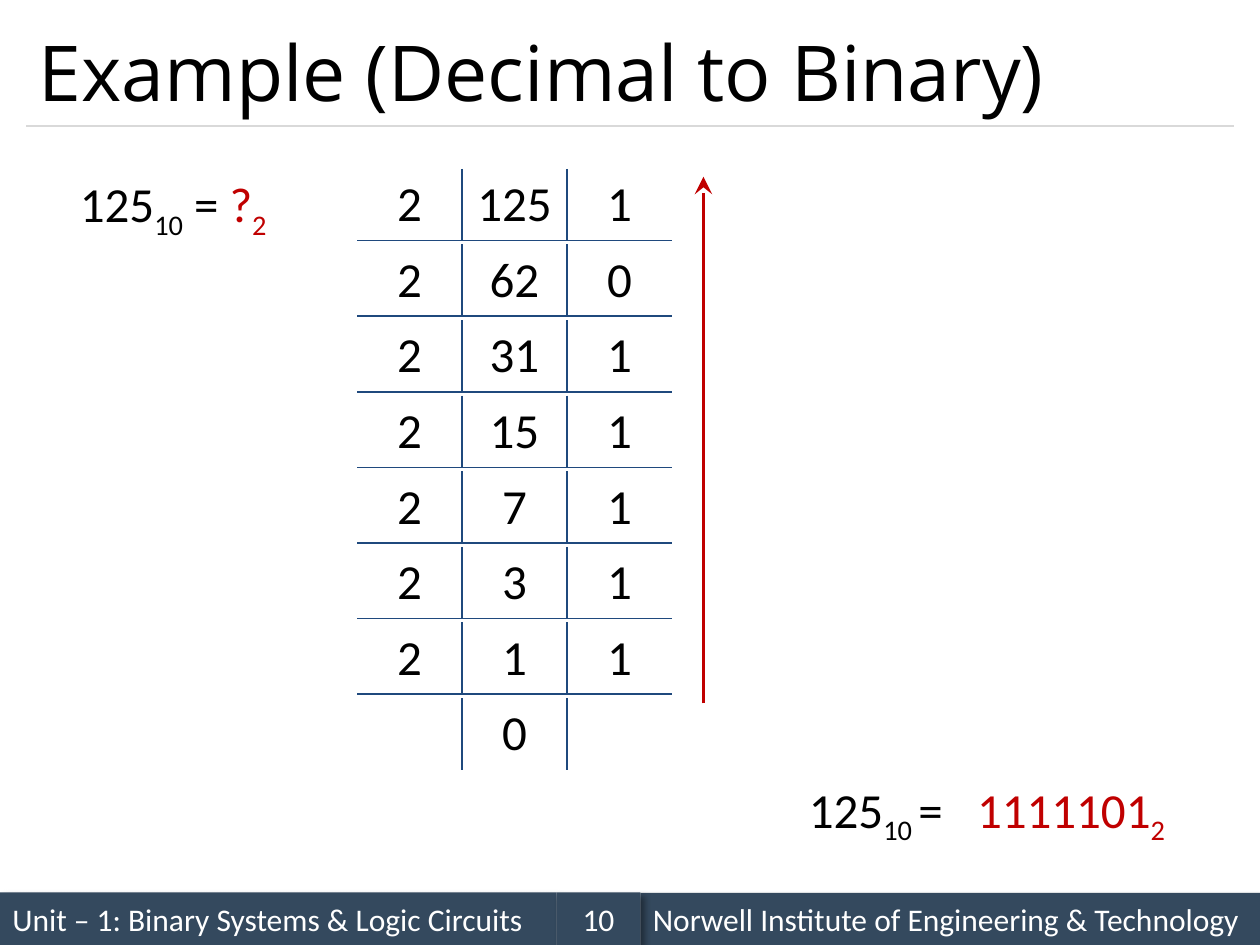
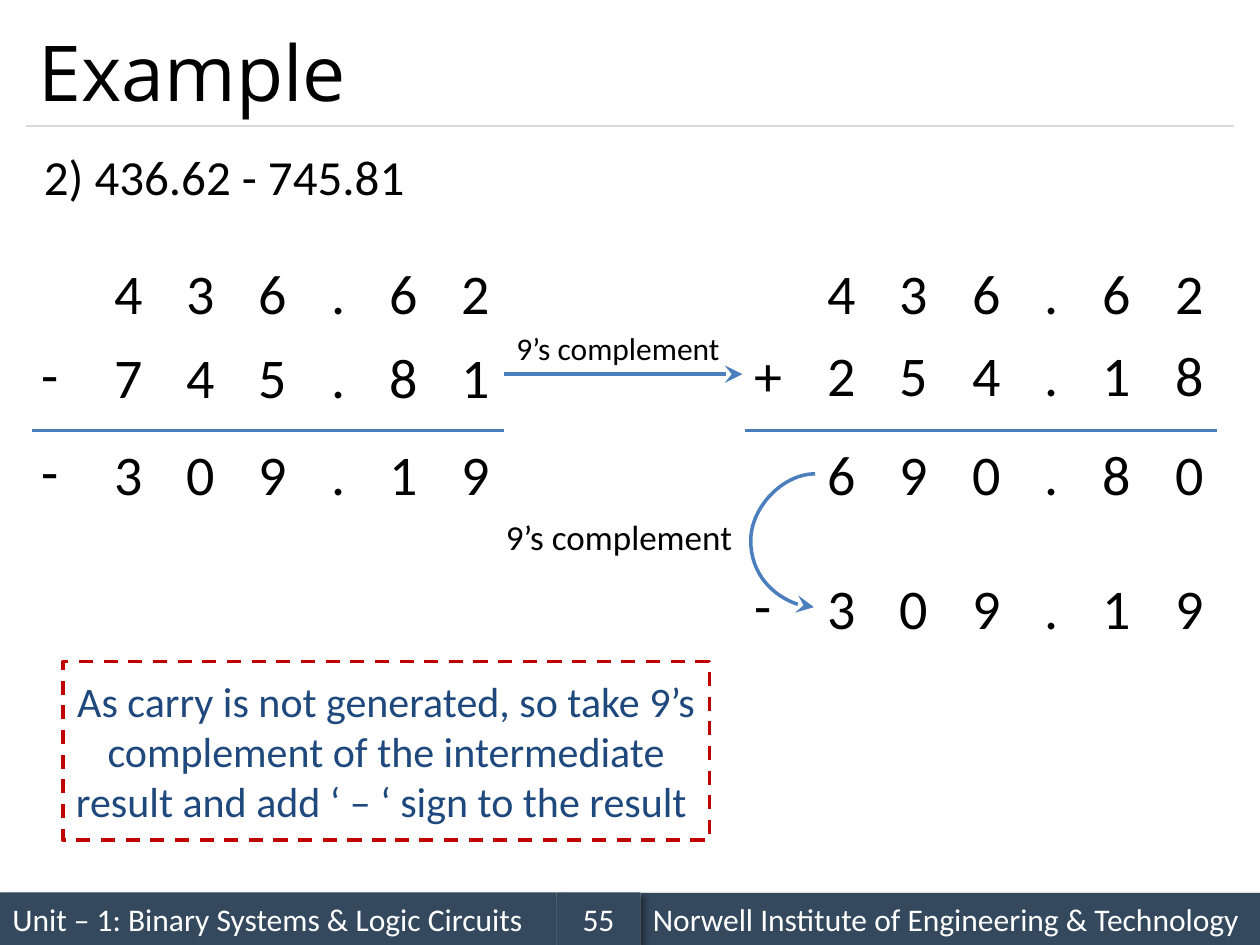
from lxml import etree
from pptx import Presentation
from pptx.dml.color import RGBColor
from pptx.enum.dml import MSO_LINE
from pptx.enum.shapes import MSO_CONNECTOR, MSO_SHAPE
from pptx.enum.text import MSO_ANCHOR, MSO_AUTO_SIZE, PP_ALIGN
from pptx.oxml.ns import qn
from pptx.util import Pt

COLORS = {
    "ink": "000000",
    "paper": "FFFFFF",
    "band": "34495E",
    "rule": "D9D9D9",
    "accent": "C00000",
    "navy": "1F497D",
    "steel": "4B7EBC",
}
UNIT = "Unit – 1: Binary Systems & Logic Circuits"
INSTITUTE = "Norwell Institute of Engineering & Technology"
TITLE_ONLY = 5

DIGIT_STEP, POINT_STEP = 41.4, 33.2
DIGIT_HEIGHT = 46
GLYPH_WIDTHS = {"-": 24.5, ".": 23}
LEFT_SUM, RIGHT_SUM = 16.7, 424.2


def color(name):
    return RGBColor.from_string(COLORS[name])


def apply(target, formats):
    for attribute, value in formats.items():
        setattr(target, attribute, value)


def points(*lengths):
    return [Pt(length) for length in lengths]


def add_xml(parent, tag, **attributes):
    return etree.SubElement(parent, qn(tag), attributes)


class Deck:
    """Holds the shared style and the slide being built."""

    def __init__(self):
        self.presentation = Presentation()
        apply(self.presentation, {"slide_width": Pt(720), "slide_height": Pt(540)})
        self.slide = None

    def start_slide(self, title, number):
        layout = self.presentation.slide_layouts[TITLE_ONLY]
        self.slide = self.presentation.slides.add_slide(layout)
        self.band((0, 510, 318, 30), UNIT)
        self.line((15, 72), (705, 72), "rule", 0.75)
        self.band((366, 510.3, 354, 30), INSTITUTE)
        self.band((318, 510, 48, 30), number, PP_ALIGN.CENTER)
        heading = self.slide.shapes.title
        left, top, width, height = points(15, 9, 690, 63)
        apply(heading, {"left": left, "top": top, "width": width, "height": height})
        apply(heading.text_frame, {"auto_size": MSO_AUTO_SIZE.NONE,
                                   "vertical_anchor": MSO_ANCHOR.MIDDLE})
        self.fill_text(heading.text_frame, [(title, "ink", False)], 44,
                       PP_ALIGN.LEFT, "Open Sans")

    def fill_text(self, frame, pieces, size, align=PP_ALIGN.LEFT, font="Calibri"):
        """Fill the frame with (text, colour, is_subscript) pieces."""
        paragraph = frame.paragraphs[0]
        paragraph.alignment = align
        for words, ink, is_subscript in pieces:
            run = paragraph.add_run()
            run.text = words
            apply(run.font, {"size": Pt(size), "name": font})
            run.font.color.rgb = color(ink)
            if is_subscript:
                run._r.get_or_add_rPr().set("baseline", "-25000")

    def text(self, box, pieces, size, align=PP_ALIGN.LEFT, wrap=False):
        label = self.slide.shapes.add_textbox(*points(*box))
        apply(label.text_frame, {"word_wrap": wrap,
                                 "auto_size": MSO_AUTO_SIZE.SHAPE_TO_FIT_TEXT})
        self.fill_text(label.text_frame, pieces, size, align)
        return label

    def panel(self, box, words, ink, size, align):
        panel = self.slide.shapes.add_shape(MSO_SHAPE.RECTANGLE, *points(*box))
        panel.shadow.inherit = False
        apply(panel.text_frame, {"word_wrap": True,
                                 "vertical_anchor": MSO_ANCHOR.MIDDLE})
        self.fill_text(panel.text_frame, [(words, ink, False)], size, align)
        return panel

    def band(self, box, words, align=PP_ALIGN.LEFT):
        band = self.panel(box, words, "paper", 18, align)
        band.fill.solid()
        band.fill.fore_color.rgb = color("band")
        band.line.fill.background()
        effects = band._element.spPr.find(qn("a:effectLst"))
        shadow = add_xml(effects, "a:outerShdw", blurRad=str(Pt(4)), dist=str(Pt(3)),
                         dir="2700000", algn="tl", rotWithShape="0")
        shade = add_xml(shadow, "a:srgbClr", val=COLORS["ink"])
        add_xml(shade, "a:alpha", val="40000")

    def note(self, box, words):
        note = self.panel(box, words, "navy", 24, PP_ALIGN.CENTER)
        note.fill.background()
        note.line.color.rgb = color("accent")
        apply(note.line, {"width": Pt(2), "dash_style": MSO_LINE.DASH})

    def line(self, start, end, ink, width=2, arrow=False, kind=MSO_CONNECTOR.STRAIGHT):
        line = self.slide.shapes.add_connector(kind, *points(*start, *end))
        line.line.color.rgb = color(ink)
        line.line.width = Pt(width)
        properties = line._element.spPr
        if arrow:
            add_xml(properties.find(qn("a:ln")), "a:tailEnd", type="stealth",
                    w="lg", len="lg")
        add_xml(properties, "a:effectLst")
        return line

    def bulging_arrow(self, start, end, bulge, ink):
        """Draw a curved arrow that swings out to the left by bulge points."""
        arrow = self.line(start, end, ink, arrow=True, kind=MSO_CONNECTOR.CURVE)
        geometry = arrow._element.spPr.find(qn("a:prstGeom"))
        guides = geometry.find(qn("a:avLst"))
        if guides is None:
            guides = add_xml(geometry, "a:avLst")
        reach = round(bulge / (start[0] - end[0]) * 100000)
        add_xml(guides, "a:gd", name="adj1", fmla=f"val {reach}")

    def division_cell(self, box, words, sides):
        """Add a one-cell table ruled on the given sides (letters of LRTB)."""
        table = self.slide.shapes.add_table(1, 1, *points(*box)).table
        apply(table, {"first_row": False, "horz_banding": False})
        cell = table.cell(0, 0)
        self.fill_text(cell.text_frame, [(words, "ink", False)], 28, PP_ALIGN.CENTER)
        borders = cell._tc.get_or_add_tcPr()
        for side in "LRTB":
            border = add_xml(borders, f"a:ln{side}", w=str(Pt(1)))
            if side in sides:
                add_xml(add_xml(border, "a:solidFill"), "a:srgbClr", val=COLORS["navy"])
            else:
                add_xml(border, "a:noFill")
        cell.fill.background()

    def number_row(self, left, top, number):
        """Set out a sign (or space) and digits in columns; return their boxes."""
        boxes = []
        for glyph in number:
            if glyph != " ":
                rise = 1.8 if glyph == "-" else 0
                box = (left, top - rise, GLYPH_WIDTHS.get(glyph, 31), DIGIT_HEIGHT)
                boxes.append(self.text(box, [(glyph, "ink", False)], 32))
            left += POINT_STEP if glyph == "." else DIGIT_STEP
        return boxes


def build_decimal_to_binary(deck):
    deck.start_slide("Example (Decimal to Binary)", "10")
    deck.text((18, 95.8, 162, 41),
              [("125", "ink", False), ("10", "ink", True), (" = ", "ink", False),
               ("?", "accent", False), ("2", "accent", True)],
              28, PP_ALIGN.CENTER, wrap=True)

    left, top, column, height, pitch = 204, 96.5, 60, 41, 43.2
    quotient, remainders = 125, ""
    while quotient:
        remainder = quotient % 2
        steps = (("2", "RB"), (str(quotient), "RB"), (str(remainder), "B"))
        for place, (words, sides) in enumerate(steps):
            deck.division_cell((left + place * column, top, column, height), words, sides)
        remainders = str(remainder) + remainders
        quotient //= 2
        top += pitch
    deck.division_cell((left + column, top, column, height), str(quotient), "LR")

    deck.text((450, 442, 107.3, 41),
              [("125", "ink", False), ("10 ", "ink", True), ("= ", "ink", False)],
              28, PP_ALIGN.CENTER, wrap=True)
    deck.line((402, 402), (402, 101), "accent", arrow=True)
    deck.text((540.7, 442, 142.6, 41),
              [(remainders, "accent", False), ("2", "accent", True)],
              28, PP_ALIGN.CENTER, wrap=True)


def build_nines_complement(deck):
    deck.start_slide("Example", "55")
    deck.text((18, 80, 224, 41), [("2) 436.62 - 745.81", "ink", False)], 28)

    for top, number in ((144, " 436.62"), (192.4, "-745.81"), (247.8, "-309.19")):
        deck.number_row(LEFT_SUM, top, number)
    deck.number_row(RIGHT_SUM, 144, " 436.62")
    plus = deck.number_row(RIGHT_SUM, 190.8, "+254.18")[0]
    deck.number_row(RIGHT_SUM, 247.8, " 690.80")
    deck.number_row(RIGHT_SUM, 324, "-309.19")
    for left in (18, 425.5):
        deck.line((left, 246), (left + 270, 246), "steel")

    deck.text((282, 291, 145.4, 31.5), [("9’s complement", "ink", False)], 20)
    deck.bulging_arrow((465.84, 270.8), (465.12, 347), 37.4, "steel")
    deck.text((288, 184.3, 131.8, 29), [("9’s complement", "ink", False)], 18)
    complement_arrow = deck.line((288, 213.8), (424.2, 213.8), "steel", arrow=True)
    complement_arrow.end_connect(plus, 1)
    deck.note((36, 378, 369.4, 102),
              "As carry is not generated, so take 9’s complement of the "
              "intermediate result and add ‘ – ‘ sign to the result ")


def main():
    deck = Deck()
    build_decimal_to_binary(deck)
    build_nines_complement(deck)
    deck.presentation.save("out.pptx")


if __name__ == "__main__":
    main()
